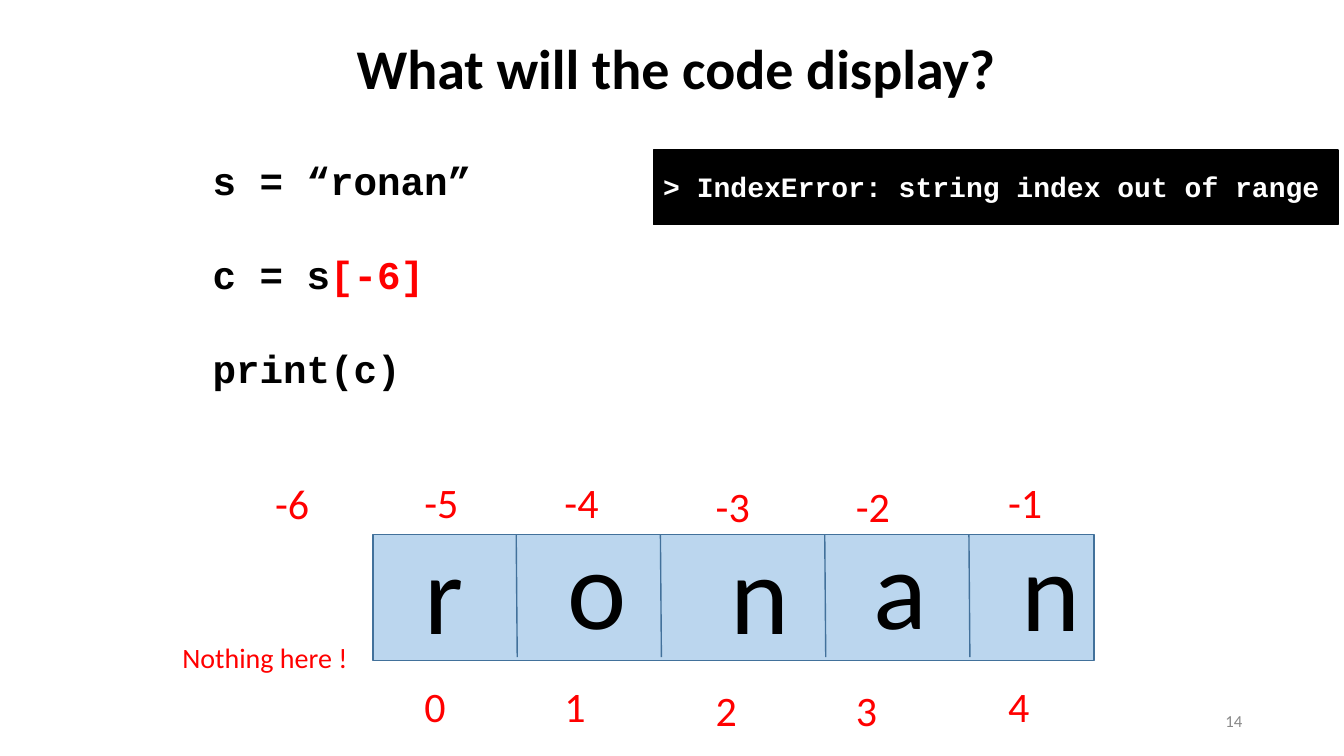
"""Build the slide on a string index that is out of range."""
import pptx
import pptx.util
import pptx.dml.color
import pptx.enum.shapes
import pptx.enum.text
from pptx.oxml.ns import qn

Inches, Pt = pptx.util.Inches, pptx.util.Pt
RGBColor = pptx.dml.color.RGBColor
PP_ALIGN = pptx.enum.text.PP_ALIGN
MSO_ANCHOR = pptx.enum.text.MSO_ANCHOR

BLACK = RGBColor(0x00, 0x00, 0x00)
WHITE = RGBColor(0xFF, 0xFF, 0xFF)
RED = RGBColor(0xFF, 0x00, 0x00)
GREY = RGBColor(0x88, 0x88, 0x88)
PALE_BLUE = RGBColor(0xBB, 0xD6, 0xEE)
STEEL_BLUE = RGBColor(0x42, 0x71, 0x9B)

HEADING = "What will the code display?"
CODE = [
    [("s = “ronan”", BLACK)],
    [("c = s", BLACK), ("[-6]", RED)],
    [("print(c)", BLACK)],
]
ERROR = "> IndexError: string index out of range"
MISSING_INDEX = "-6"
MISSING_NOTE = "Nothing here !"
PAGE = "14"

# letter, letter left, letter top, letter width, index left, index drop
LETTERS = [
    ("r", 4.11, 5.13, 0.59, 4.11, 0),
    ("o", 5.53, 5.08, 0.79, 5.5, 0),
    ("n", 7.15, 5.13, 0.79, 7, 0.04),
    ("a", 8.57, 5.08, 0.74, 8.39, 0.04),
    ("n", 10.03, 5.1, 0.79, 9.9, 0),
]
DIVIDERS = [5.12, 6.55, 8.18, 9.61]
STRIP = (3.7, 5.3, 7.15, 1.25)
DIVIDER_HEIGHT = 1.22
ERROR_PANEL = (6.48, 1.49, 6.79, 0.74)
NEGATIVE_TOP, POSITIVE_TOP = 4.68, 6.7

HEADING_FONT = {"name": "Calibri", "size": Pt(40), "bold": True}
CODE_FONT = {"name": "Courier New", "size": Pt(28), "bold": True}
ERROR_FONT = {"name": "Courier New", "size": Pt(20), "bold": True}
LETTER_FONT = {"name": "Calibri", "size": Pt(80)}
INDEX_FONT = {"name": "Calibri", "size": Pt(30)}
NOTE_FONT = {"name": "Calibri", "size": Pt(20)}
PAGE_FONT = {"name": "Calibri", "size": Pt(12)}
FRAME = {
    "margin_left": Inches(0.1),
    "margin_right": Inches(0.1),
    "margin_top": Inches(0.05),
    "margin_bottom": Inches(0.05),
    "vertical_anchor": MSO_ANCHOR.TOP,
    "auto_size": pptx.enum.text.MSO_AUTO_SIZE.NONE,
}


def apply(target, values):
    for key, value in values.items():
        setattr(target, key, value)


def place(part, left, top, width, height):
    sides = {"left": left, "top": top, "width": width, "height": height}
    apply(part, {side: Inches(length) for side, length in sides.items()})


def write(part, lines, font, align=PP_ALIGN.LEFT, gap=0, **frame_values):
    frame = part.text_frame
    apply(frame, {**FRAME, "word_wrap": True, **frame_values})
    for number, line in enumerate(lines):
        paragraph = frame.add_paragraph() if number else frame.paragraphs[0]
        properties = paragraph._p.get_or_add_pPr()
        properties.set("marL", "0")
        properties.set("indent", "0")
        properties.append(properties.makeelement(qn("a:buNone"), {}))
        apply(paragraph, {"alignment": align, "space_before": Pt(gap if number else 0)})
        for words, colour in line:
            run = paragraph.add_run()
            run.text = words
            apply(run.font, font)
            run.font.color.rgb = colour


def label(slide, words, box, font, colour, **options):
    part = slide.shapes.add_textbox(*map(Inches, box))
    write(part, [[(words, colour)]], font, **options)


def panel(slide, box, fill, outline):
    part = slide.shapes.add_shape(
        pptx.enum.shapes.MSO_SHAPE.RECTANGLE, *map(Inches, box))
    part.shadow.inherit = False
    part.fill.solid()
    part.fill.fore_color.rgb = fill
    part.line.color.rgb = outline
    part.line.width = Pt(1)


def divider(slide, left):
    top = STRIP[1]
    ends = (left, top, left + 0.01, top + DIVIDER_HEIGHT)
    edge = slide.shapes.add_connector(
        pptx.enum.shapes.MSO_CONNECTOR.STRAIGHT, *map(Inches, ends))
    edge.line.color.rgb = STEEL_BLUE
    edge.line.width = Pt(1)
    properties = edge._element.spPr
    properties.append(properties.makeelement(qn("a:effectLst"), {}))


def main():
    deck = pptx.Presentation()
    deck.slide_width, deck.slide_height = Inches(13.33), Inches(7.5)
    slide = deck.slides.add_slide(deck.slide_layouts[1])

    heading, code = slide.placeholders
    place(heading, 2.92, 0.28, 7.57, 0.77)
    write(heading, [[(HEADING, BLACK)]], HEADING_FONT, PP_ALIGN.CENTER)
    place(code, 2.01, 1.5, 2.79, 2.46)
    write(code, CODE, CODE_FONT, gap=33.5)

    label(slide, PAGE, (9.42, 6.95, 3, 0.4), PAGE_FONT, GREY,
          align=PP_ALIGN.RIGHT, vertical_anchor=MSO_ANCHOR.MIDDLE)

    panel(slide, STRIP, PALE_BLUE, STEEL_BLUE)
    for left in DIVIDERS:
        divider(slide, left)

    for index, (letter, left, top, width, index_left, drop) in enumerate(LETTERS):
        label(slide, letter, (left, top, width, 1.45), LETTER_FONT, BLACK,
              word_wrap=False)
        for number, index_top, index_width in (
                (index - len(LETTERS), NEGATIVE_TOP, 0.54),
                (index, POSITIVE_TOP, 0.42)):
            label(slide, str(number), (index_left, index_top + drop, index_width, 0.61),
                  INDEX_FONT, RED, word_wrap=False)

    label(slide, MISSING_INDEX, (2.63, 4.69, 0.54, 0.61), INDEX_FONT, RED,
          word_wrap=False)
    label(slide, MISSING_NOTE, (1.71, 6.31, 1.85, 0.44), NOTE_FONT, RED,
          word_wrap=False)

    panel(slide, ERROR_PANEL, BLACK, BLACK)
    label(slide, ERROR, (6.48, 1.63, 6.77, 0.44), ERROR_FONT, WHITE,
          word_wrap=False)
    deck.save("out.pptx")


if __name__ == "__main__":
    main()
